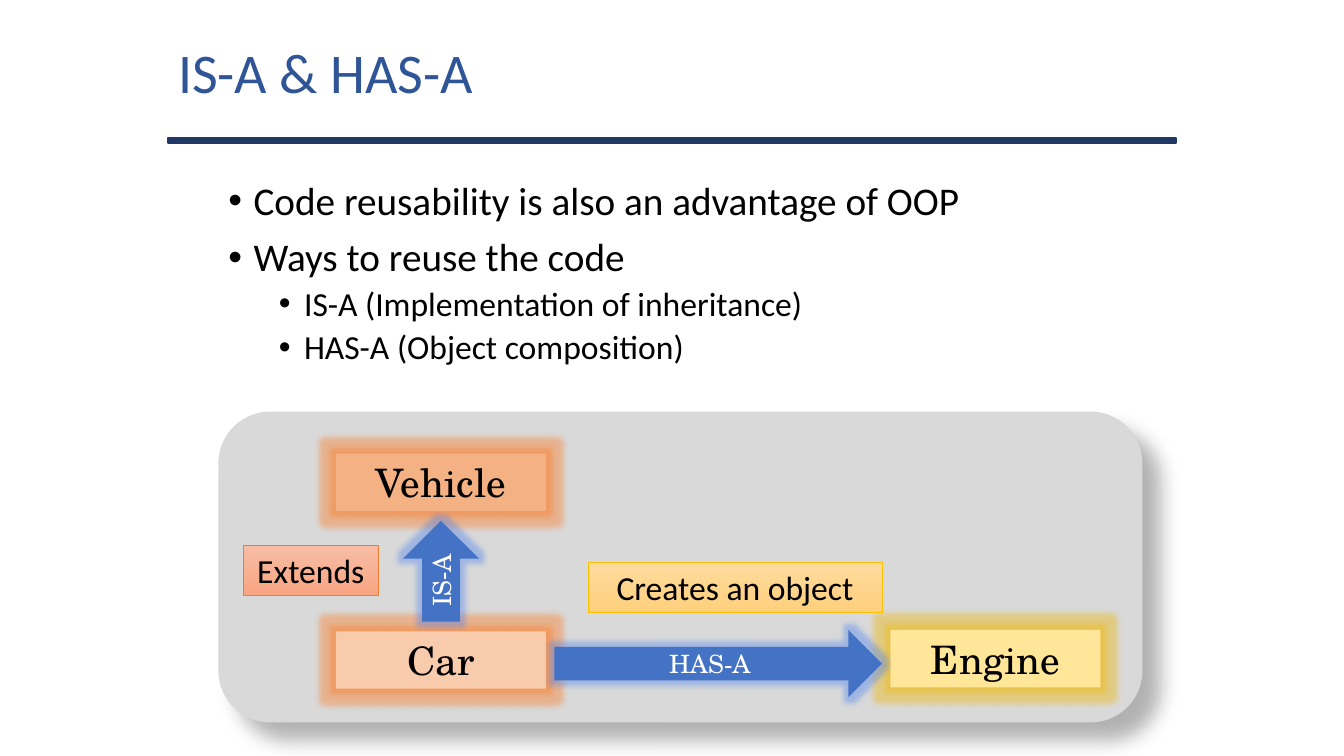
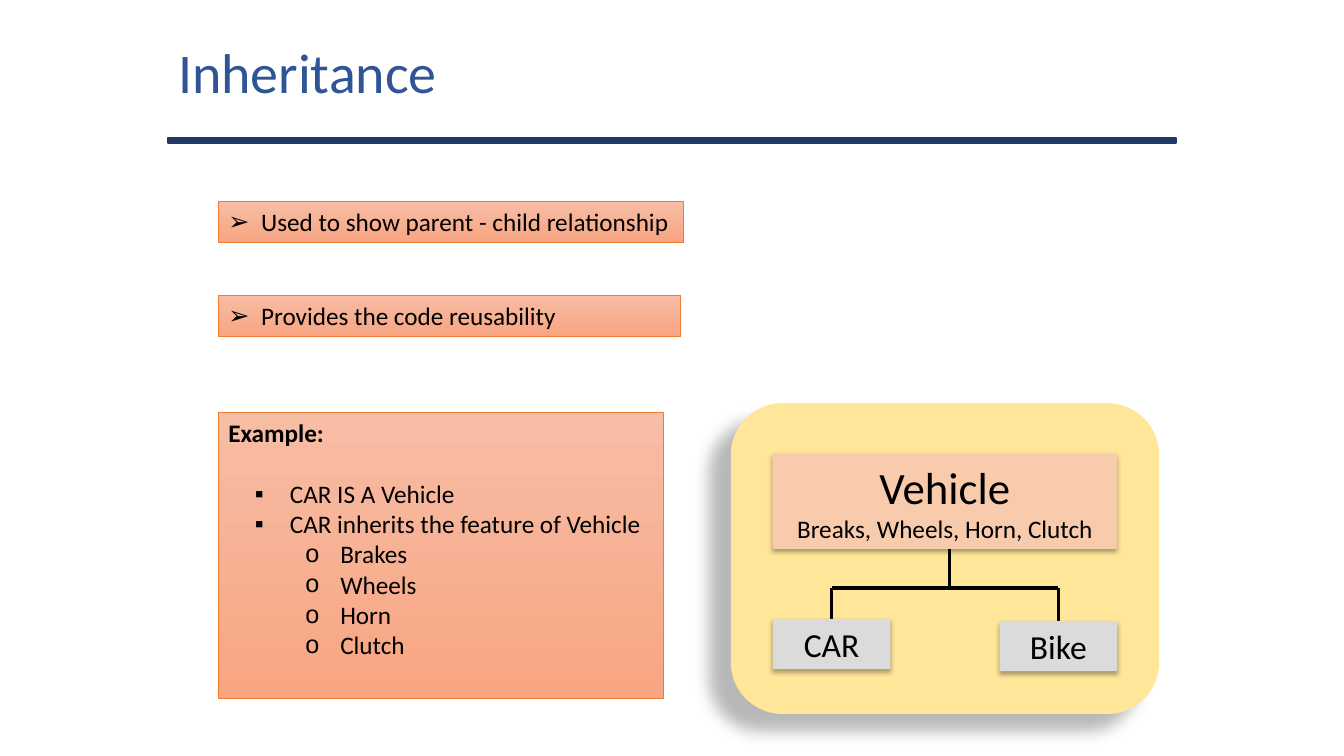
from lxml import etree
from pptx import Presentation
from pptx.dml.color import RGBColor
from pptx.enum import shapes, text
from pptx.oxml import ns
from pptx.util import Pt

COLORS = {
    "navy": "203864", "title": "2F5597", "black": "000000", "white": "FFFFFF",
    "gray": "D9D9D9", "silver": "DBDBDB", "orange": "F4B183", "peach": "F8CBAD",
    "cream": "FFE699", "blue": "4472C4", "orange_line": "ED7D31", "gold_line": "FFC000",
    "orange_glow": "FF7A20", "gold_glow": "F0B800", "blue_glow": "4A80F0",
}
GRADIENTS = {"orange_line": ("F7BDA5", "F8A582"), "gold_line": ("FFDB9E", "FFD07C")}
BODY, SERIF, BULLET = "Calibri", "TeX Gyre Schola", "Arial"
KINDS = shapes.MSO_SHAPE
LEFT, CENTER = text.PP_ALIGN.LEFT, text.PP_ALIGN.CENTER
TOP, MIDDLE = text.MSO_ANCHOR.TOP, text.MSO_ANCHOR.MIDDLE

# text, level
REUSE_POINTS = [
    ("Code reusability is also an advantage of OOP", 0),
    ("Ways to reuse the code", 0),
    ("IS-A (Implementation of inheritance)", 1),
    ("HAS-A (Object composition)", 1),
]
# size, space before, left margin for each level
REUSE_LEVELS = [(28, 10, 18), (24, 5, 54)]

# text, place, fill, glow
CLASS_BOXES = [
    ("Vehicle", (240, 324, 150, 41), "orange", "orange_glow"),
    ("Car", (240, 451, 150, 41), "peach", "orange_glow"),
    ("Engine", (636, 450, 150, 41), "cream", "gold_glow"),
]
# text, place, kind, text direction
RELATION_ARROWS = [
    ("IS-A", (288, 372, 54, 72), KINDS.UP_ARROW, "vert270"),
    ("HAS-A", (396, 450, 234, 48), KINDS.RIGHT_ARROW, "horz"),
]
RELATION_LABELS = [
    ("Extends", (174, 389.5, 96, 36), "orange_line"),
    ("Creates an object", (420, 401.5, 210, 36), "gold_line"),
]

INHERITANCE_FACTS = [
    ("Used to show parent - child relationship", (156, 144, 332, 29)),
    ("Provides the code reusability", (156, 211, 330, 29)),
]
EXAMPLE = [
    ("Example:", 0),
    ("CAR IS A Vehicle", 1),
    ("CAR inherits the feature of Vehicle", 1),
    ("Brakes", 2),
    ("Wheels", 2),
    ("Horn", 2),
    ("Clutch", 2),
]
# bullet, left margin for each level
EXAMPLE_BULLETS = {1: ("▪", 44), 2: ("o", 80)}

PARENT = (["Vehicle", "Breaks, Wheels, Horn, Clutch"], (552, 324, 246, 68))
CHILDREN = [("CAR", (552, 442, 84, 36)), ("Bike", (714, 443.5, 84, 36))]
TRUNK_X, BRANCH_Y = 678, 420


def rgb(name):
    return RGBColor.from_string(COLORS[name])


def points(values):
    return [Pt(value) for value in values]


def style(paragraph, size, font=BODY, color="black", align=LEFT, bold=False):
    paragraph.alignment = align
    for run in paragraph.runs:
        run.font.size, run.font.name, run.font.bold = Pt(size), font, bold
        run.font.color.rgb = rgb(color)


def set_bullet(paragraph, character, margin, hanging):
    properties = paragraph._p.get_or_add_pPr()
    properties.set("marL", str(Pt(margin)))
    properties.set("indent", str(-Pt(hanging)))
    etree.SubElement(properties, ns.qn("a:buFont"), typeface=BULLET)
    etree.SubElement(properties, ns.qn("a:buChar"), char=character)


def add_effect(shape, tag, color, alpha, **attributes):
    """Put a glow or outer shadow in the shape's empty effect list."""
    effects = shape.element.spPr.find(ns.qn("a:effectLst"))
    effect = etree.SubElement(effects, ns.qn(tag), {k: str(v) for k, v in attributes.items()})
    tint = etree.SubElement(effect, ns.qn("a:srgbClr"), val=COLORS[color])
    etree.SubElement(tint, ns.qn("a:alpha"), val=str(alpha * 1000))


def add_glow(shape, color, radius=8):
    add_effect(shape, "a:glow", color, 40, rad=Pt(radius))


def add_shadow(shape, alpha, blur, distance, angle):
    add_effect(shape, "a:outerShdw", "black", alpha, blurRad=Pt(blur), dist=Pt(distance),
               dir=angle * 60000, algn="ctr", rotWithShape=0)


def add_box(slide, place, fill, kind=KINDS.RECTANGLE):
    shape = slide.shapes.add_shape(kind, *points(place))
    shape.shadow.inherit = False
    shape.line.fill.background()
    shape.fill.solid()
    shape.fill.fore_color.rgb = rgb(fill)
    return shape


def add_gradient_box(slide, place, line):
    shape = add_box(slide, place, line)
    shape.fill.gradient()
    shape.fill.gradient_angle = 270
    for stop, color in zip(shape.fill.gradient_stops, GRADIENTS[line]):
        stop.color.rgb = RGBColor.from_string(color)
    shape.line.color.rgb = rgb(line)
    shape.line.width = Pt(0.5)
    return shape


def write(shape, lines, anchor=MIDDLE):
    frame = shape.text_frame
    frame.word_wrap = True
    frame.vertical_anchor = anchor
    frame.text = "\n".join(lines)
    return frame.paragraphs


def add_line(slide, *ends):
    line = slide.shapes.add_connector(shapes.MSO_CONNECTOR.STRAIGHT, *points(ends))
    line.line.color.rgb = rgb("black")
    line.line.width = Pt(2.25)
    etree.SubElement(line.element.spPr, ns.qn("a:effectLst"))


def place_on(shape, place):
    shape.left, shape.top, shape.width, shape.height = points(place)


def add_slide(presentation, layout, title):
    """Add a slide with the shared bar and title."""
    slide = presentation.slides.add_slide(presentation.slide_layouts[layout])
    bar = add_box(slide, (120, 98.6, 720, 3.6), "navy")
    bar.line.color.rgb = rgb("navy")
    bar.line.width = Pt(1)
    place_on(slide.shapes.title, (120, 0, 564, 102))
    style(write(slide.shapes.title, [title])[0], 40, color="title")
    return slide


def build_reuse(presentation):
    slide = add_slide(presentation, 1, "IS-A & HAS-A")
    body = slide.placeholders[1]
    place_on(body, (156, 126, 648, 204))
    paragraphs = write(body, [words for words, _ in REUSE_POINTS], TOP)
    body.text_frame.auto_size = text.MSO_AUTO_SIZE.NONE
    for index, (paragraph, (_, level)) in enumerate(zip(paragraphs, REUSE_POINTS)):
        size, before, margin = REUSE_LEVELS[level]
        paragraph.level = level
        paragraph.line_spacing = 0.9
        paragraph.space_before = Pt(before if index else 0)
        set_bullet(paragraph, "•", margin, 18)
        style(paragraph, size)

    panel = add_box(slide, (156, 294, 660, 222), "gray", KINDS.ROUNDED_RECTANGLE)
    add_shadow(panel, 30, 15, 18, 45)
    for words, place, fill, glow in CLASS_BOXES:
        box = add_box(slide, place, fill)
        add_glow(box, glow)
        style(write(box, [words])[0], 28, SERIF, align=CENTER)
    for words, place, kind, direction in RELATION_ARROWS:
        arrow = add_box(slide, place, "blue", kind)
        add_glow(arrow, "blue_glow")
        style(write(arrow, [words])[0], 18, SERIF, "white", CENTER)
        arrow.element.txBody.bodyPr.set("vert", direction)
    for words, place, line in RELATION_LABELS:
        label = add_gradient_box(slide, place, line)
        style(write(label, [words])[0], 24, align=CENTER)


def build_inheritance(presentation):
    slide = add_slide(presentation, 5, "Inheritance")
    panel = add_box(slide, (522, 288, 306, 222), "cream", KINDS.ROUNDED_RECTANGLE)
    add_shadow(panel, 28, 11.8, 19.7, 141)

    names, (_, top, _, height) = PARENT
    add_line(slide, TRUNK_X, top + height, TRUNK_X, BRANCH_Y)
    centers = [place[0] + place[2] / 2 for _, place in CHILDREN]
    add_line(slide, centers[0], BRANCH_Y, centers[-1], BRANCH_Y)
    for center, (_, place) in zip(centers, CHILDREN):
        add_line(slide, center, BRANCH_Y, center, place[1])

    nodes = [(names, PARENT[1], "peach", (32, 18))]
    nodes += [([name], place, "silver", (24,)) for name, place in CHILDREN]
    for lines, place, fill, sizes in nodes:
        node = add_box(slide, place, fill)
        add_shadow(node, 32, 3.5, 2.2, 90)
        for paragraph, size in zip(write(node, lines), sizes):
            style(paragraph, size, align=CENTER)

    for words, place in INHERITANCE_FACTS:
        fact = add_gradient_box(slide, place, "orange_line")
        fact.text_frame.margin_right = 0
        paragraph = write(fact, [words])[0]
        set_bullet(paragraph, "➢", 23.5, 23.5)
        style(paragraph, 18)

    example = add_gradient_box(slide, (156, 294.5, 318, 204), "orange_line")
    paragraphs = write(example, [words for words, _ in EXAMPLE], TOP)
    paragraphs[1].space_before = Pt(22)
    for paragraph, (_, level) in zip(paragraphs, EXAMPLE):
        if level:
            paragraph.level = level
            set_bullet(paragraph, *EXAMPLE_BULLETS[level], 25)
        style(paragraph, 18, bold=level == 0)


def main():
    presentation = Presentation()
    presentation.slide_width, presentation.slide_height = Pt(960), Pt(540)
    build_reuse(presentation)
    build_inheritance(presentation)
    presentation.save("out.pptx")


if __name__ == "__main__":
    main()
